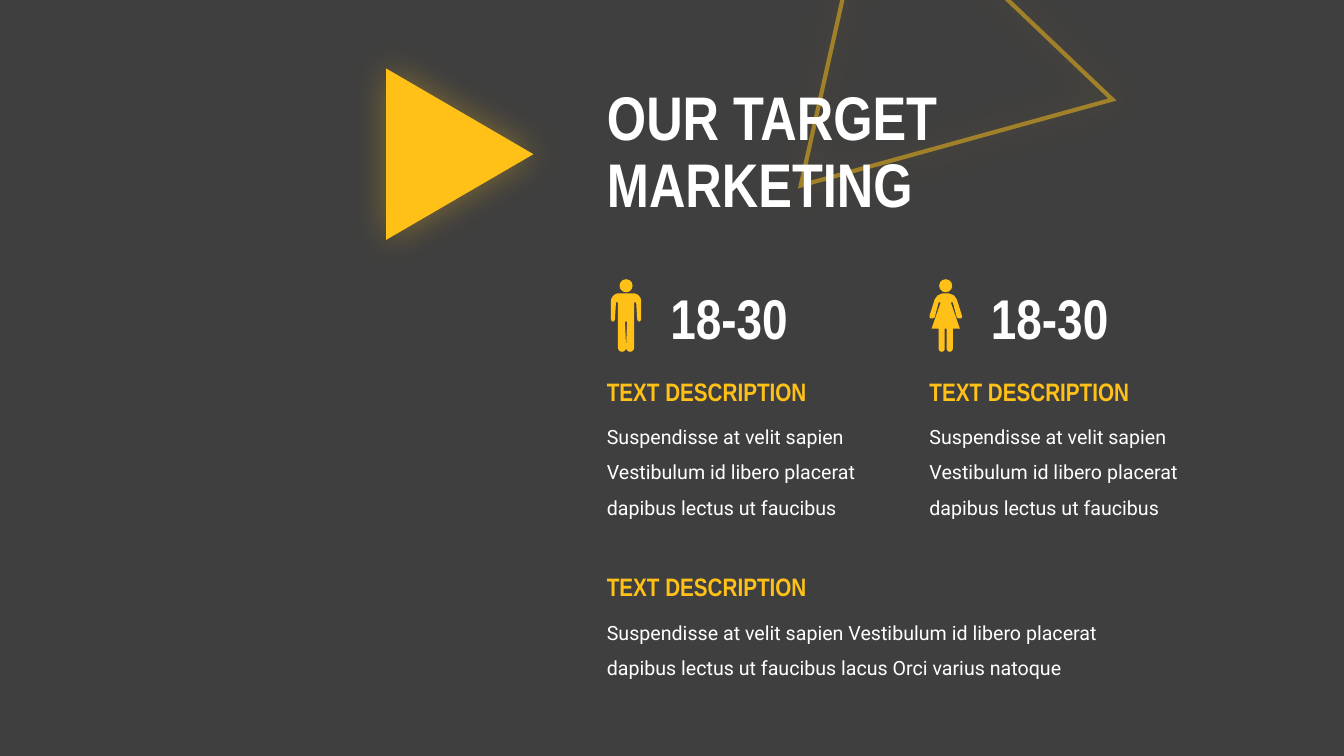
import math

from lxml import etree
from pptx import Presentation
from pptx import util as u
from pptx.dml.color import RGBColor
from pptx.enum import shapes, text
from pptx.oxml import ns

CHARCOAL = RGBColor(0x3F, 0x3F, 0x3F)
GOLD = RGBColor(0xFF, 0xC1, 0x18)
WHITE = RGBColor(0xFF, 0xFF, 0xFF)
HEADING_FONT = "Arial Narrow"
BODY_FONT = "Roboto"

LEFT = 5.92
DESCRIPTION = "Suspendisse at velit sapien Vestibulum id libero placerat dapibus lectus ut faucibus"


def arc(center_x, center_y, radius_x, radius_y, start, end, steps=8):
    angles = [math.radians(start + (end - start) * i / steps) for i in range(steps + 1)]
    return [(center_x + radius_x * math.cos(a), center_y + radius_y * math.sin(a)) for a in angles]


MAN_HALF = [
    (0, 2.91), *arc(0.07, 2.99, 0.08, 0.08, -90, 0),
    *arc(0.13, 3.16, 0.02, 0.03, 0, 180), (0.1, 3), (0.08, 3),
    *arc(0.04, 3.45, 0.04, 0.04, 0, 180), (0.01, 3.19), (0, 3.19),
]
WOMAN_HALF = [
    (0, 2.91), (0.03, 2.91), (0.08, 2.93), (0.11, 2.97),
    (0.16, 3.13), (0.16, 3.15), (0.15, 3.16), (0.13, 3.16), (0.11, 3.15),
    (0.07, 3), (0.05, 3), (0.14, 3.26), (0.07, 3.26),
    *arc(0.04, 3.46, 0.03, 0.03, 0, 180), (0.01, 3.26), (0, 3.26),
]


class TargetSlide:
    """Holds the style and the slide being built."""

    def __init__(self, presentation):
        self.slide = presentation.slides.add_slide(presentation.slide_layouts[5])
        self.slide.background.fill.solid()
        self.slide.background.fill.fore_color.rgb = CHARCOAL

    def style(self, paragraph, size, font, color, bold, spacing=1.0):
        paragraph.alignment = text.PP_ALIGN.LEFT
        paragraph.line_spacing = spacing
        paragraph.font.size = u.Pt(size)
        paragraph.font.name = font
        paragraph.font.color.rgb = color
        paragraph.font.bold = bold

    def title(self, words, left, top, width, height):
        title = self.slide.shapes.title
        title.left, title.top = u.Inches(left), u.Inches(top)
        title.width, title.height = u.Inches(width), u.Inches(height)
        frame = title.text_frame
        frame.text = words
        frame.auto_size = text.MSO_AUTO_SIZE.NONE
        frame.vertical_anchor = text.MSO_ANCHOR.MIDDLE
        self.style(frame.paragraphs[0], 44, HEADING_FONT, WHITE, True, 0.9)

    def label(self, words, left, top, width, height, size, font, color, bold, spacing=1.0):
        box = self.slide.shapes.add_textbox(*map(u.Inches, (left, top, width, height)))
        frame = box.text_frame
        frame.word_wrap = True
        frame.auto_size = text.MSO_AUTO_SIZE.SHAPE_TO_FIT_TEXT
        frame.text = words
        self.style(frame.paragraphs[0], size, font, color, bold, spacing)

    def description(self, words, left, top, width, height):
        self.label("TEXT DESCRIPTION", left, top, 2.45, 0.4, 18, HEADING_FONT, GOLD, True)
        self.label(words, left, top + 0.37, width, height, 14, BODY_FONT, WHITE, False, 1.5)

    def age(self, words, left):
        self.label(words, left, 2.76, 1.79, 0.77, 40, HEADING_FONT, WHITE, True)

    def fill(self, shape):
        shape.shadow.inherit = False
        shape.fill.solid()
        shape.fill.fore_color.rgb = GOLD
        shape.line.fill.background()

    def triangle(self, left, top, width, height, rotation):
        shape = self.slide.shapes.add_shape(
            shapes.MSO_SHAPE.ISOSCELES_TRIANGLE, *map(u.Inches, (left, top, width, height)))
        shape.rotation = rotation
        self.fill(shape)
        effects = shape._element.spPr.find(ns.qn("a:effectLst"))
        glow = etree.SubElement(effects, ns.qn("a:outerShdw"), blurRad=str(u.Pt(25)),
                                dist="0", dir="0", algn="ctr", rotWithShape="0")
        color = etree.SubElement(glow, ns.qn("a:srgbClr"), val=str(GOLD))
        etree.SubElement(color, ns.qn("a:alpha"), val="35000")
        return shape

    def outline_triangle(self, left, top, width, height, rotation):
        shape = self.triangle(left, top, width, height, rotation)
        shape.fill.background()
        shape.line.color.rgb = GOLD
        shape.line.width = u.Pt(3)
        line = shape._element.spPr.find(ns.qn("a:ln"))
        etree.SubElement(line.find(".//" + ns.qn("a:srgbClr")), ns.qn("a:alpha"), val="50000")
        etree.SubElement(line, ns.qn("a:miter"), lim="800000")
        self.slide.shapes._spTree.insert(2, shape._element)

    def person(self, center, half):
        group = self.slide.shapes.add_group_shape()
        head = group.shapes.add_shape(
            shapes.MSO_SHAPE.OVAL, *map(u.Inches, (center - 0.065, 2.77, 0.13, 0.13)))
        self.fill(head)
        mirrored = [(-x, y) for x, y in reversed(half)]
        points = [(u.Inches(center + x), u.Inches(y)) for x, y in half + mirrored]
        builder = group.shapes.build_freeform(*points[0], scale=1.0)
        builder.add_line_segments(points[1:], close=True)
        self.fill(builder.convert_to_shape())


def main():
    presentation = Presentation()
    presentation.slide_width = u.Inches(13.33)
    presentation.slide_height = u.Inches(7.5)
    target = TargetSlide(presentation)
    target.outline_triangle(7.24, -0.53, 3.3, 2.75, 223.6)
    target.title("OUR TARGET\vMARKETING", LEFT, 0.74, 5.62, 1.58)
    target.triangle(3.71, 0.8, 1.7, 1.46, 90)
    audiences = [(LEFT, 6.21, MAN_HALF, 6.55), (9.12, 9.38, WOMAN_HALF, 9.73)]
    for left, center, half, age_left in audiences:
        target.person(center, half)
        target.age("18-30", age_left)
        target.description(DESCRIPTION, left, 3.68, 2.86, 1.12)
    target.description(DESCRIPTION + " lacus Orci varius natoque", LEFT, 5.62, 5.13, 0.77)
    presentation.save("out.pptx")


if __name__ == "__main__":
    main()
